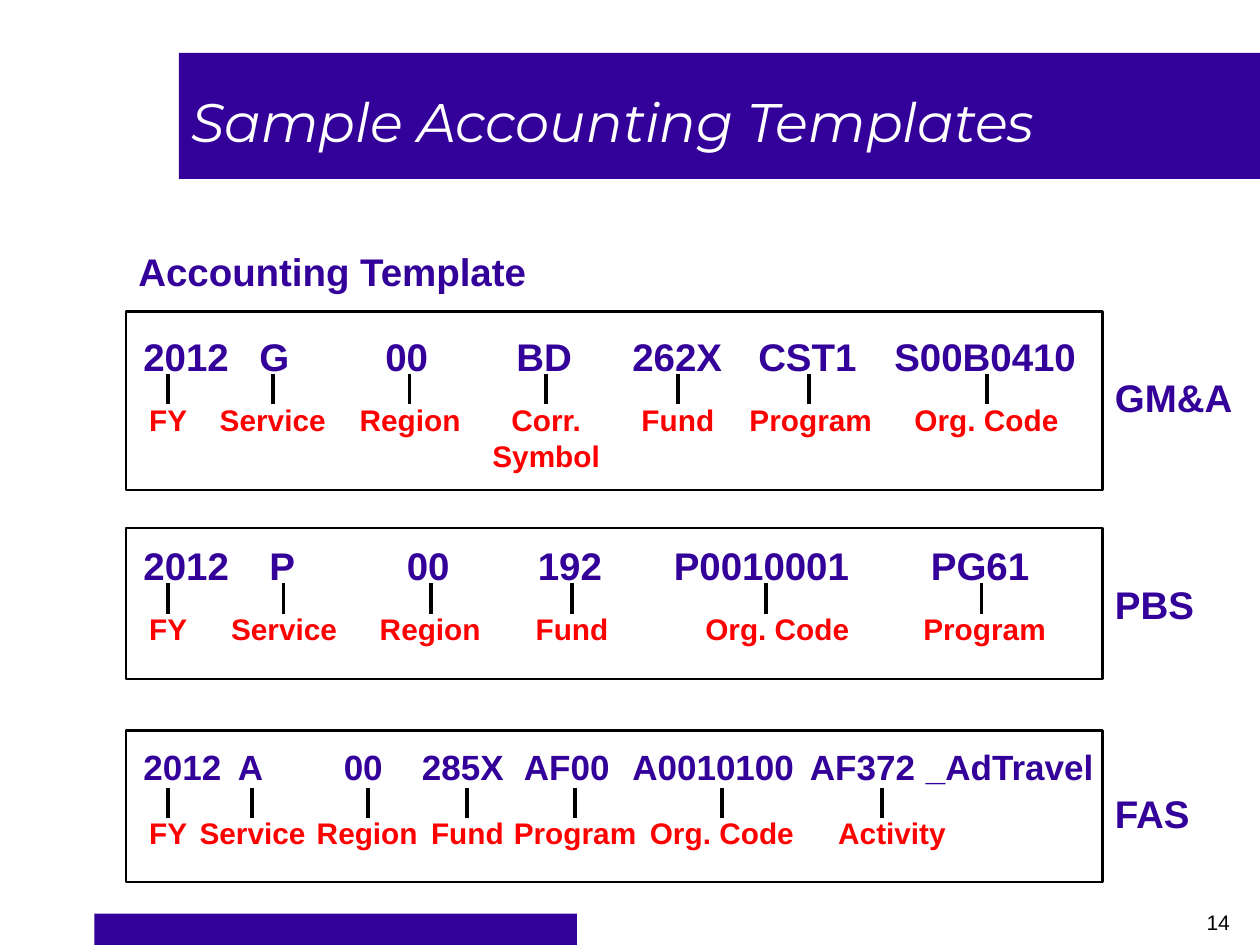
"""Builds the slide of sample accounting templates with labelled code fields."""
from lxml import etree
from pptx import Presentation
from pptx.dml.color import RGBColor
from pptx.enum.shapes import MSO_CONNECTOR, MSO_SHAPE
from pptx.enum.text import MSO_ANCHOR, PP_ALIGN
from pptx.oxml.ns import qn
from pptx.util import Inches, Pt

PURPLE = RGBColor(0x33, 0x00, 0x99)
RED = RGBColor(0xFF, 0x00, 0x00)
BLACK = RGBColor(0x00, 0x00, 0x00)
WHITE = RGBColor(0xFF, 0xFF, 0xFF)
LEFT, CENTER, RIGHT = PP_ALIGN.LEFT, PP_ALIGN.CENTER, PP_ALIGN.RIGHT
TOP, MIDDLE = MSO_ANCHOR.TOP, MSO_ANCHOR.MIDDLE
RECTANGLE = MSO_SHAPE.RECTANGLE
STRAIGHT = MSO_CONNECTOR.STRAIGHT

LABEL_WIDTHS = {
    "FY": 0.67, "Service": 1.17, "Region": 1.17, "Corr. Symbol": 1.17,
    "Fund": 0.92, "Program": 1.37, "Org. Code": 1.5, "Activity": 1.5,
}

TEMPLATES = [
    {"name": "GM&A", "name_top": 2.92, "frame_top": 2.47, "frame_height": 1.42,
     "code_top": 2.59, "code_size": 22, "tick_top": 2.97, "fields": [
         ("2012", 1.04, 1.04, "FY", 1, 1.33),
         ("G", 1.96, 0.42, "Service", 1.58, 2.17),
         ("00", 2.96, 0.58, "Region", 2.67, 3.25),
         ("BD", 4, 0.67, "Corr. Symbol", 3.75, 4.33),
         ("262X", 4.92, 0.92, "Fund", 4.92, 5.38),
         ("CST1", 5.92, 1, "Program", 5.75, 6.42),
         ("S00B0410", 7, 1.67, "Org. Code", 7.08, 7.83)]},
    {"name": "PBS", "name_top": 4.56, "frame_top": 4.19, "frame_height": 1.2,
     "code_top": 4.25, "code_size": 22, "tick_top": 4.63, "fields": [
         ("2012", 1.04, 1.12, "FY", 1, 1.33),
         ("P", 2.04, 0.42, "Service", 1.67, 2.25),
         ("00", 3.13, 0.58, "Region", 2.83, 3.42),
         ("192", 4.17, 0.75, "Fund", 4.08, 4.54),
         ("P0010001", 5.25, 1.67, "Org. Code", 5.42, 6.08),
         ("PG61", 7.29, 1, "Program", 7.13, 7.79)]},
    {"name": "FAS", "name_top": 6.22, "frame_top": 5.8, "frame_height": 1.2,
     "code_top": 5.87, "code_size": 20, "tick_top": 6.25, "fields": [
         ("2012", 1.04, 1.21, "FY", 1, 1.33),
         ("A", 1.79, 0.42, "Service", 1.42, 2),
         ("00", 2.63, 0.58, "Region", 2.33, 2.92),
         ("285X", 3.25, 0.92, "Fund", 3.25, 3.71),
         ("AF00", 4.06, 1, "Program", 3.88, 4.56),
         ("A0010100", 4.92, 1.63, "Org. Code", 4.98, 5.73),
         ("AF372", 6.33, 1.17, "Activity", 6.33, 7)]},
]

presentation = Presentation()
presentation.slide_width = Inches(10)
presentation.slide_height = Inches(7.5)
slide = presentation.slides.add_slide(presentation.slide_layouts[6])


def add_text(text, left, top, width, height, size=22, color=PURPLE, bold=True,
             italic=False, font="Arial", align=LEFT, anchor=TOP):
    box = slide.shapes.add_textbox(
        Inches(left), Inches(top), Inches(width), Inches(height))
    frame = box.text_frame
    frame.word_wrap = True
    frame.vertical_anchor = anchor
    paragraph = frame.paragraphs[0]
    paragraph.alignment = align
    run = paragraph.add_run()
    run.text = text
    run.font.name = font
    run.font.size = Pt(size)
    run.font.bold = bold
    run.font.italic = italic
    run.font.color.rgb = color


def add_rectangle(left, top, width, height, fill=None):
    shape = slide.shapes.add_shape(
        RECTANGLE, Inches(left), Inches(top), Inches(width), Inches(height))
    shape.shadow.inherit = False
    if fill is None:
        shape.fill.background()
        shape.line.color.rgb = BLACK
        shape.line.width = Pt(1.5)
    else:
        shape.fill.solid()
        shape.fill.fore_color.rgb = fill
        shape.line.fill.background()


add_rectangle(0.75, 7.25, 3.83, 0.25, fill=PURPLE)
add_rectangle(1.42, 0.42, 8.58, 1, fill=PURPLE)
add_text("Sample Accounting Templates", 1.42, 0.33, 8.58, 1.25, size=31,
         color=WHITE, bold=False, italic=True, font="Montserrat", anchor=MIDDLE)
add_text("Accounting Template", 1, 1.92, 6.42, 0.47)
add_text("14", 9.36, 7.17, 0.5, 0.3, size=12, color=BLACK, bold=False, align=RIGHT)

for template in TEMPLATES:
    code_top = template["code_top"]
    code_size = template["code_size"]
    code_height = 0.47 if code_size == 22 else 0.44
    tick_top = template["tick_top"]
    label_top = tick_top + 0.17

    add_rectangle(1, template["frame_top"], 7.75, template["frame_height"])
    add_text(template["name"], 8.75, template["name_top"], 1.25, 0.47)

    for code, code_left, code_width, label, label_left, tick in template["fields"]:
        add_text(code, code_left, code_top, code_width, code_height, size=code_size)
        label_height = 0.67 if label == "Corr. Symbol" else 0.39
        add_text(label, label_left, label_top, LABEL_WIDTHS[label], label_height,
                 size=17, color=RED, align=CENTER)
        connector = slide.shapes.add_connector(
            STRAIGHT, Inches(tick), Inches(tick_top),
            Inches(tick), Inches(tick_top + 0.24))
        connector.line.color.rgb = BLACK
        connector.line.width = Pt(2.25)
        etree.SubElement(connector._element.spPr, qn("a:effectLst"))

add_text("_AdTravel", 7.25, 5.87, 1.67, 0.44, size=20)

presentation.save("out.pptx")
